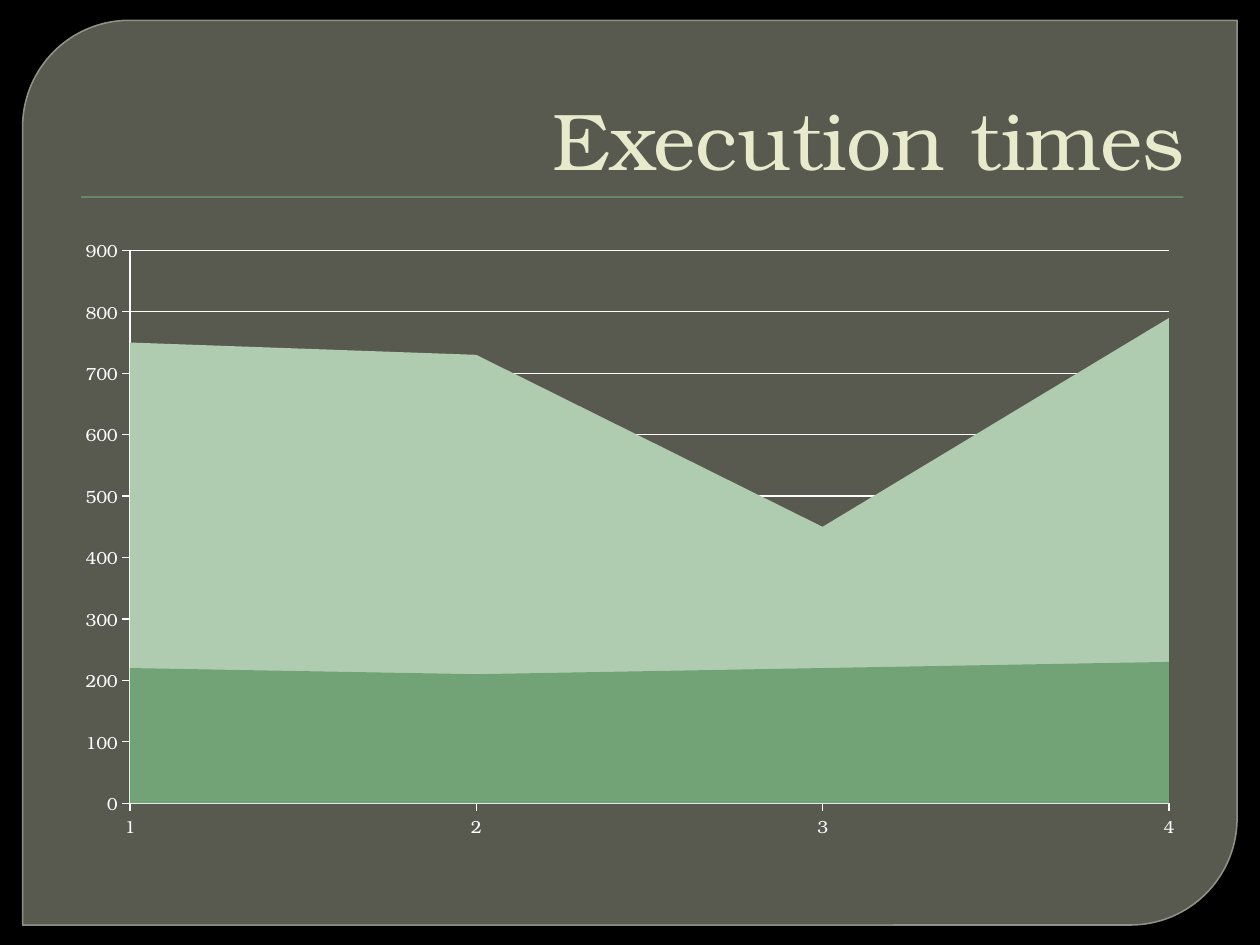
from typing import NamedTuple

from lxml.etree import SubElement
from pptx import Presentation
from pptx.chart.data import CategoryChartData
from pptx.dml.color import RGBColor
from pptx.enum.chart import XL_CHART_TYPE as ChartType, XL_TICK_MARK as TickMark
from pptx.enum.shapes import MSO_SHAPE as Shape
from pptx.enum.text import MSO_ANCHOR as Anchor, PP_ALIGN as Align
from pptx.oxml.ns import qn
from pptx.util import Pt

FONT = "TeX Gyre Bonum"
WHITE = "FFFFFF"


class Area(NamedTuple):
    """One filled series of the chart."""
    name: str
    values: tuple
    color: str


class Frame(NamedTuple):
    """A position and size in points."""
    left: float
    top: float
    width: float
    height: float

    def lengths(self) -> list:
        """Return the four lengths for python-pptx."""
        return [Pt(value) for value in self]


AREAS = [
    Area("Series 1", (220, 210, 220, 230), "72A376"),
    Area("Series 2", (750, 730, 450, 790), "B0CCB0"),
]


def paint(fill, color: str, alpha: int = 100) -> None:
    """Make a fill solid, with an opacity in percent."""
    fill.solid()
    fill.fore_color.rgb = RGBColor.from_string(color)
    if alpha < 100:
        node = fill._xPr.find(qn("a:solidFill"))[0]
        SubElement(node, qn("a:alpha"), val=str(alpha * 1000))


def style_line(line, color: str, width: float, alpha: int = 100) -> None:
    """Set the colour, width and opacity of a line."""
    paint(line.fill, color, alpha)
    line.width = Pt(width)


def add_panel(page, kind, frame: Frame, color: str, alpha: int = 100):
    """Add a filled shape without line or shadow."""
    panel = page.shapes.add_shape(kind, *frame.lengths())
    panel.shadow.inherit = False
    paint(panel.fill, color, alpha)
    panel.line.fill.background()
    return panel


def add_soft_shadow(shape) -> None:
    """Put a small dark shadow below a shape."""
    effects = shape._element.spPr.find(qn("a:effectLst"))
    shadow = SubElement(effects, qn("a:outerShdw"), blurRad=str(Pt(1)),
                        dist=str(Pt(1)), dir="5400000", rotWithShape="0")
    tint = SubElement(shadow, qn("a:srgbClr"), val="000000")
    SubElement(tint, qn("a:alpha"), val="75000")


def add_text(page, text: str, frame: Frame, *, size: float, color: str,
             align=Align.LEFT, anchor=Anchor.TOP) -> None:
    """Add a wrapped text box with one paragraph."""
    box = page.shapes.add_textbox(*frame.lengths())
    box.text_frame.word_wrap = True
    box.text_frame.vertical_anchor = anchor
    para = box.text_frame.paragraphs[0]
    para.alignment = align
    span = para.add_run()
    span.text = text
    span.font.name = FONT
    span.font.size = Pt(size)
    span.font.color.rgb = RGBColor.from_string(color)


def add_area_chart(page, frame: Frame) -> None:
    """Add the area chart of execution times."""
    data = CategoryChartData()
    data.categories = ["1", "2", "3", "4"]
    for area in AREAS:
        data.add_series(area.name, area.values)
    chart = page.shapes.add_chart(ChartType.AREA, *frame.lengths(), data).chart
    chart.has_legend = False
    chart.has_title = False
    chart.font.name = FONT
    chart.font.size = Pt(10)
    chart.font.color.rgb = RGBColor.from_string(WHITE)
    plot = chart.plots[0]
    plot.vary_by_categories = False
    for series, area in zip(plot.series, AREAS):
        paint(series.format.fill, area.color)
        series.format.line.fill.background()
    for axis in (chart.category_axis, chart.value_axis):
        axis.major_tick_mark = TickMark.OUTSIDE
        axis.minor_tick_mark = TickMark.NONE
        style_line(axis.format.line, WHITE, 0.75)
    chart.category_axis.has_major_gridlines = False
    values = chart.value_axis
    values.minimum_scale, values.maximum_scale, values.major_unit = 0, 900, 100
    values.has_major_gridlines = True
    style_line(values.major_gridlines.format.line, WHITE, 0.75)


def build() -> None:
    """Build and save the deck."""
    deck = Presentation()
    deck.slide_width, deck.slide_height = Pt(720), Pt(540)
    page = deck.slides.add_slide(deck.slide_layouts[6])
    paint(page.background.fill, "000000")

    panel = add_panel(page, Shape.ROUND_2_DIAG_RECTANGLE,
                      Frame(12.9, 11.6, 694, 517), "888B7B", 65)
    panel.adjustments[0] = 0.118
    style_line(panel.line, "9DA090", 0.87, 88)
    rule = add_panel(page, Shape.RECTANGLE, Frame(46.3, 112.2, 630, 0.72), "72A376")
    add_soft_shadow(rule)

    add_text(page, "Execution times", Frame(36, 20, 648, 90), size=46,
             color="E7EACB", align=Align.RIGHT, anchor=Anchor.BOTTOM)
    add_area_chart(page, Frame(36, 129.6, 648, 356.4))
    deck.save("out.pptx")


build()
